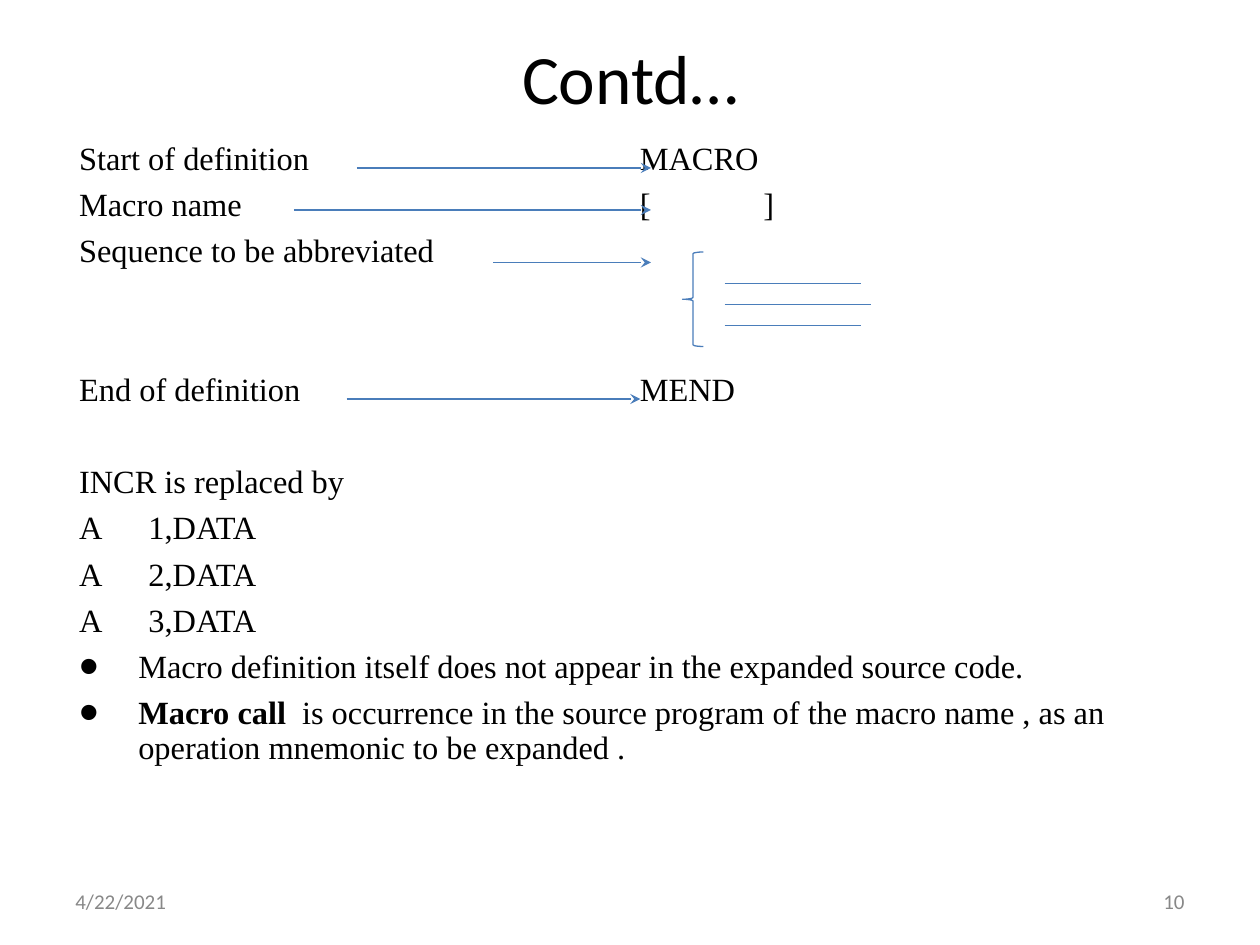
"""Build the slide on the parts of a macro definition."""
from lxml import etree
from pptx import Presentation
from pptx.dml.color import RGBColor
from pptx.enum.shapes import MSO_CONNECTOR, MSO_SHAPE
from pptx.enum.text import MSO_ANCHOR, PP_ALIGN
from pptx.oxml.ns import qn
from pptx.util import Inches, Pt

STRAIGHT = MSO_CONNECTOR.STRAIGHT
LEFT_BRACE = MSO_SHAPE.LEFT_BRACE
TOP, MIDDLE = MSO_ANCHOR.TOP, MSO_ANCHOR.MIDDLE
LEFT, CENTER, RIGHT = PP_ALIGN.LEFT, PP_ALIGN.CENTER, PP_ALIGN.RIGHT

BLACK, GREY, BLUE = "000000", "888888", "4A7DBA"
HEADING_FONT, BODY_FONT = "Calibri", "Times New Roman"
BODY_SIZE, BODY_GAP, BODY_ROW = 18.5, 6.4, 26.4
LINE_WIDTH = 0.75
CELL = 1 / 12

LABELS = [
    ("Contd…", (0.5, 0.3, 9, 0.62), 39.6, BLACK, CENTER),
    ("4/22/2021", (0.5, 6.95, 2.33, 0.4), 12, GREY, LEFT),
    ("10", (7.17, 6.95, 2.33, 0.4), 12, GREY, RIGHT),
]

BODY_TOP = 1.08
BODY_BOX = (0.5, BODY_TOP, 9, 5.62)
KEYWORD_BOX = (4.95, BODY_TOP, 2, 2.3)
BRACKET_BOX = (5.93, BODY_TOP + BODY_ROW / 72, 0.5, 0.45)

PLAIN, CODE, BULLET = (0.03, 0), (0.58, -0.55), (0.5, -0.47)
BODY_LINES = [
    ([("Start of definition", False)], 0, PLAIN),
    ([("Macro name", False)], 0, PLAIN),
    ([("Sequence to be abbreviated", False)], 0, PLAIN),
    ([("End of definition", False)], 2, PLAIN),
    ([("INCR is replaced by", False)], 1, PLAIN),
    ([("A\t1,DATA", False)], 0, CODE),
    ([("A\t2,DATA", False)], 0, CODE),
    ([("A\t3,DATA", False)], 0, CODE),
    ([("Macro definition itself does not appear in the expanded source code.", False)],
     0, BULLET),
    ([("Macro call ", True),
      (" is occurrence in the source program of the macro name , "
       "as an operation mnemonic to be expanded .", False)], 0, BULLET),
]
KEYWORD_LINES = [
    ([("MACRO", False)], 0, PLAIN),
    ([("[", False)], 0, PLAIN),
    ([("MEND", False)], 3, PLAIN),
]
BRACKET_LINES = [([("]", False)], 0, PLAIN)]
TEXT_BLOCKS = [
    (BODY_BOX, BODY_LINES),
    (KEYWORD_BOX, KEYWORD_LINES),
    (BRACKET_BOX, BRACKET_LINES),
]

ARROWS = [(34, 62, 16), (28, 62, 20), (47, 62, 25), (33, 61, 38)]
CODE_STROKES = [(69, 82, 27), (70, 83, 29), (69, 82, 29), (69, 82, 31)]
BRACE = (65, 24, 2, 9)


def color(value):
    """Turn a hex string into a colour."""
    return RGBColor.from_string(value)


def grid(cells):
    """Turn a count of grid cells into a length."""
    return Inches(cells * CELL)


def add_element(parent, tag, **attributes):
    """Append an XML element with the given attributes."""
    element = etree.SubElement(parent, qn(tag))
    for name, value in attributes.items():
        element.set(name, str(value))
    return element


def add_run(paragraph, text, font, size, shade, bold=False):
    """Add one formatted run."""
    run = paragraph.add_run()
    run.text = text
    run.font.name = font
    run.font.size = Pt(size)
    run.font.bold = bold
    run.font.color.rgb = color(shade)


def add_text_frame(slide, box, anchor):
    """Add a wrapping text box and return its frame."""
    frame = slide.shapes.add_textbox(*map(Inches, box)).text_frame
    frame.word_wrap = True
    frame.vertical_anchor = anchor
    return frame


def add_bullet(properties):
    """Give a paragraph a large round bullet."""
    bullet_color = add_element(properties, "a:buClr")
    add_element(bullet_color, "a:srgbClr", val=BLACK)
    add_element(properties, "a:buSzPct", val=173000)
    add_element(properties, "a:buFont", typeface="Arial")
    add_element(properties, "a:buChar", char="•")


def add_text_block(slide, box, lines):
    """Add lines of body text that share one row height."""
    frame = add_text_frame(slide, box, TOP)
    for number, (runs, skipped, layout) in enumerate(lines):
        paragraph = frame.add_paragraph() if number else frame.paragraphs[0]
        paragraph.line_spacing = 0.9
        paragraph.space_before = Pt(BODY_GAP + skipped * BODY_ROW)
        properties = paragraph._p.get_or_add_pPr()
        margin, indent = layout
        properties.set("marL", str(Inches(margin)))
        properties.set("indent", str(Inches(indent)))
        if layout == BULLET:
            add_bullet(properties)
        for text, bold in runs:
            add_run(paragraph, text, BODY_FONT, BODY_SIZE, BLACK, bold)


def add_line(slide, start, end, row, arrow=False):
    """Add a horizontal line on the grid, with an optional arrowhead."""
    line = slide.shapes.add_connector(
        STRAIGHT, grid(start), grid(row), grid(end), grid(row))
    line.line.color.rgb = color(BLUE)
    line.line.width = Pt(LINE_WIDTH)
    if arrow:
        add_element(line.line._get_or_add_ln(), "a:tailEnd", type="stealth")
    add_element(line._element.spPr, "a:effectLst")


def add_brace(slide):
    """Add the brace that groups the abbreviated sequence."""
    brace = slide.shapes.add_shape(LEFT_BRACE, *map(grid, BRACE))
    brace.shadow.inherit = False
    brace.fill.background()
    brace.line.color.rgb = color(BLUE)
    brace.line.width = Pt(LINE_WIDTH)
    brace.adjustments[0] = 0.08
    brace.adjustments[1] = 0.5


def main():
    """Build and save the presentation."""
    presentation = Presentation()
    presentation.slide_width, presentation.slide_height = Inches(10), Inches(7.5)
    slide = presentation.slides.add_slide(presentation.slide_layouts[6])
    for text, box, size, shade, alignment in LABELS:
        paragraph = add_text_frame(slide, box, MIDDLE).paragraphs[0]
        paragraph.alignment = alignment
        add_run(paragraph, text, HEADING_FONT, size, shade)
    for box, lines in TEXT_BLOCKS:
        add_text_block(slide, box, lines)
    for arrow in ARROWS:
        add_line(slide, *arrow, arrow=True)
    add_brace(slide)
    for stroke in CODE_STROKES:
        add_line(slide, *stroke)
    presentation.save("out.pptx")


if __name__ == "__main__":
    main()
